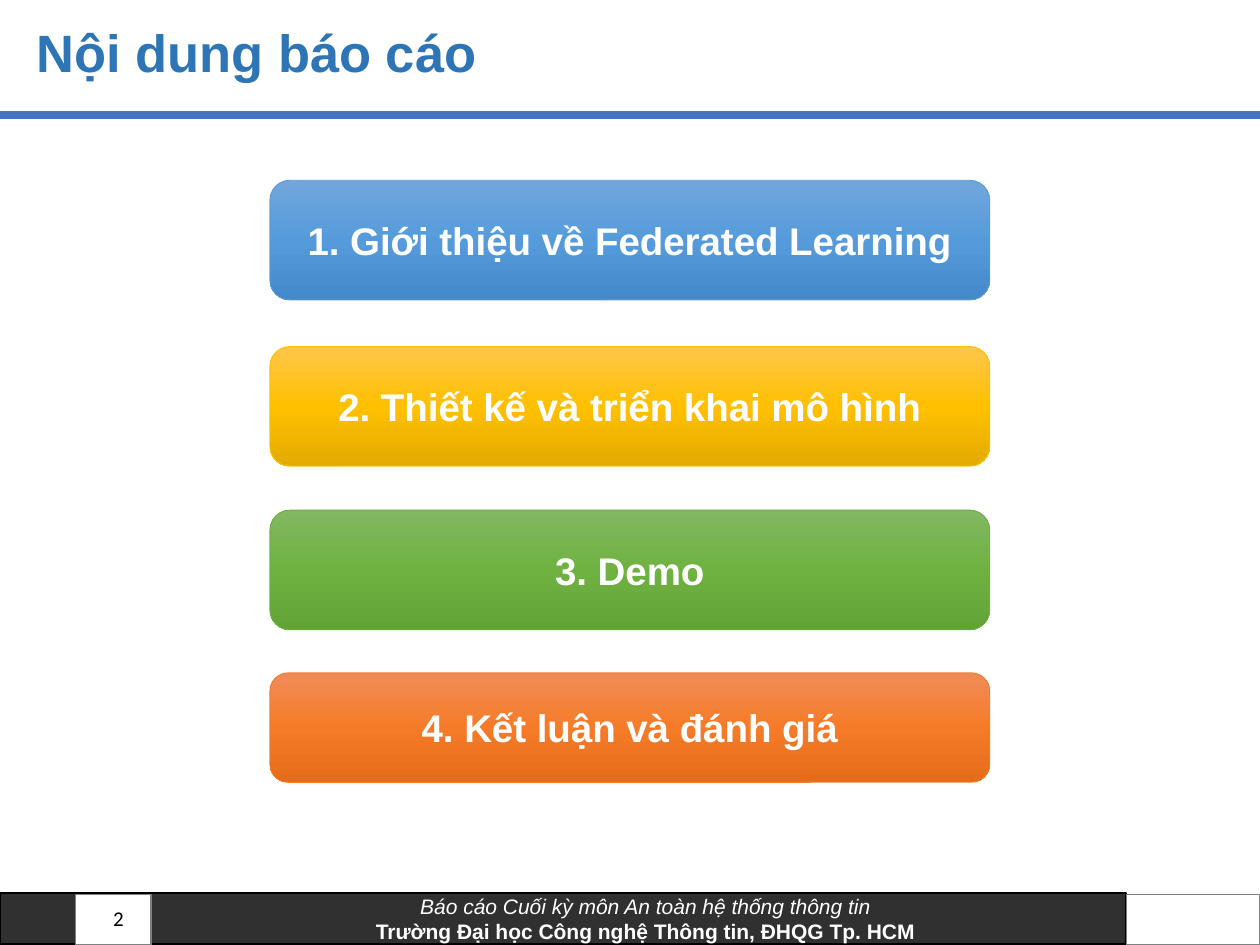
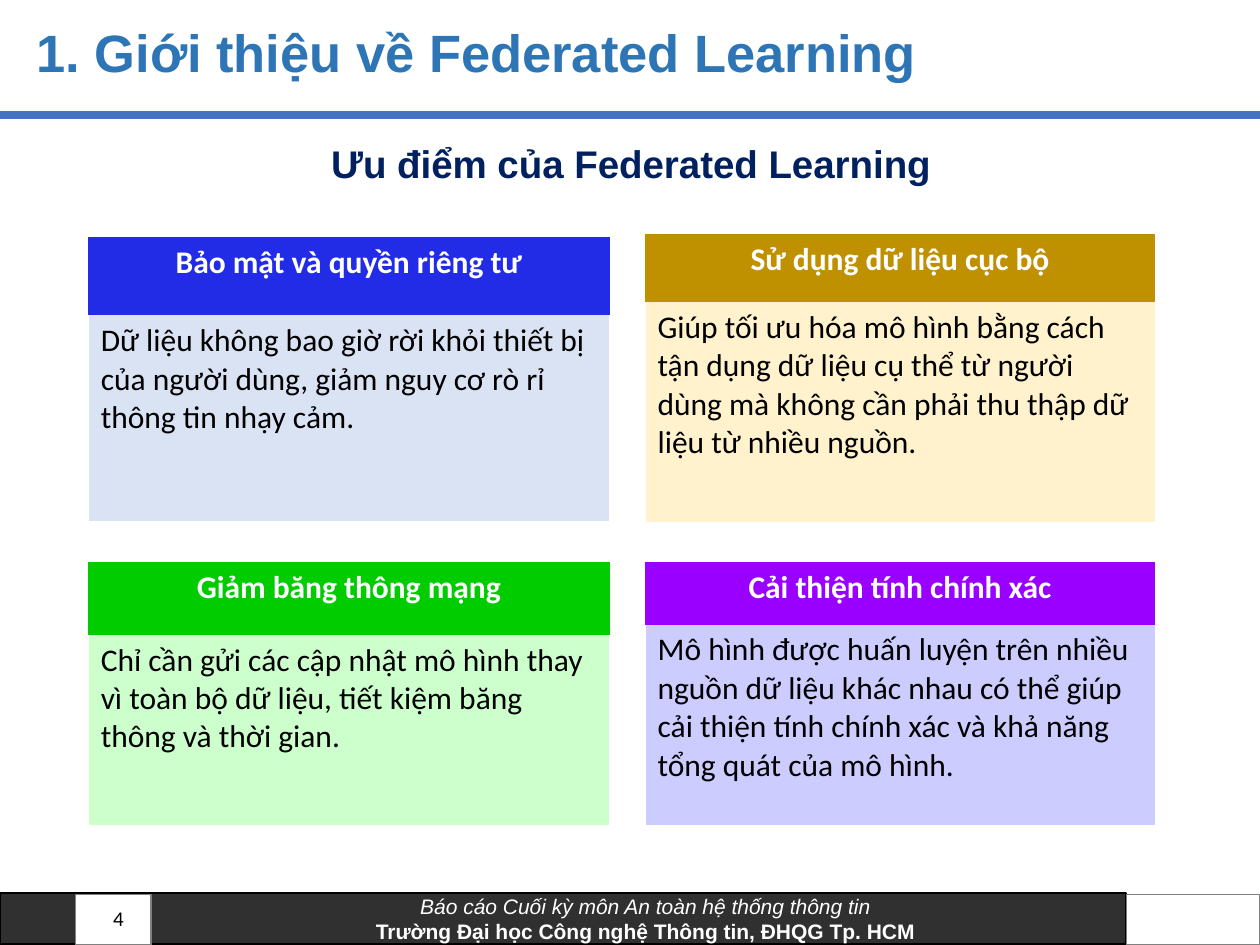
from copy import deepcopy
from lxml.etree import SubElement
from pptx import Presentation
from pptx.dml.color import RGBColor
from pptx.enum.shapes import MSO_CONNECTOR, MSO_SHAPE
from pptx.enum.text import MSO_ANCHOR, MSO_AUTO_SIZE, PP_ALIGN
from pptx.oxml import parse_xml
from pptx.oxml.ns import nsdecls, qn
from pptx.util import Pt

WHITE, BLACK, GREY = "FFFFFF", "000000", "808080"
BLUE, TITLE, NAVY = "4472C4", "2E75B6", "002060"
NO_STYLE = "{2D5ABB26-0587-4C30-8999-92F81FD0307C}"
BORDER = ('<a:{} {} w="12700"><a:solidFill><a:srgbClr val="FFFFFF"/>'
          '</a:solidFill></a:{}>')
TITLES = [("Nội dung báo cáo", "2"),
          ("1. Giới thiệu về Federated Learning", "4")]
FOOTER = ["Báo cáo Cuối kỳ môn An toàn hệ thống thông tin",
          "Trường Đại học Công nghệ Thông tin, ĐHQG Tp. HCM"]


def rgb(code):
    return RGBColor.from_string(code)


def style(para, size, color, font="Arial", bold=False, align=None):
    para.alignment = align
    for run in para.runs:
        run.font.name = font
        run.font.size = Pt(size)
        run.font.bold = bold
        run.font.color.rgb = rgb(color)


deck = Presentation()
deck.slide_width, deck.slide_height = Pt(720), Pt(540)

# Shared frame: title, rule, footer and slide number
for title, number in TITLES:
    slide = deck.slides.add_slide(deck.slide_layouts[5])
    for left, top, width, height, fill, edge in [
            (0, 510.5, 643.7, 28.8, BLACK, BLACK),
            (43.2, 511.2, 43.2, 28.8, WHITE, GREY),
            (643.7, 511.2, 76.3, 28.8, WHITE, GREY)]:
        box = slide.shapes.add_shape(
            MSO_SHAPE.RECTANGLE, Pt(left), Pt(top), Pt(width), Pt(height))
        box.shadow.inherit = False
        box.fill.solid()
        box.fill.fore_color.rgb = rgb(fill)
        box.line.color.rgb = rgb(edge)
        box.line.width = Pt(1)
        if fill == BLACK:
            tint = box._element.spPr.find(qn("a:solidFill"))[0]
            SubElement(tint, qn("a:alpha")).set("val", "81000")
            frame = box.text_frame
            frame.margin_left = frame.margin_right = Pt(10.8)
            frame.margin_top = frame.margin_bottom = Pt(5)
            frame.vertical_anchor = MSO_ANCHOR.MIDDLE
            frame.text = "\n".join(FOOTER)
            for row, para in enumerate(frame.paragraphs):
                style(para, 12, WHITE, bold=row == 1, align=PP_ALIGN.CENTER)
                para.runs[0].font.italic = row == 0
                para._p.get_or_add_pPr().set("marL", str(Pt(94.3)))

    rule = slide.shapes.add_connector(
        MSO_CONNECTOR.STRAIGHT, Pt(0), Pt(65.5), Pt(720), Pt(65.5))
    rule.line.color.rgb = rgb(BLUE)
    rule.line.width = Pt(4.5)
    SubElement(rule._element.spPr, qn("a:effectLst"))

    head = slide.shapes.title
    head.left, head.top = Pt(13.7), Pt(11.5)
    head.width, head.height = Pt(646.6), Pt(40.3)
    frame = head.text_frame
    frame.text = title
    frame.auto_size = MSO_AUTO_SIZE.NONE
    frame.vertical_anchor = MSO_ANCHOR.MIDDLE
    style(frame.paragraphs[0], 30, TITLE, bold=True, align=PP_ALIGN.LEFT)
    frame.paragraphs[0].line_spacing = 0.9

    page = slide.shapes.add_textbox(Pt(46.1), Pt(510.5), Pt(31.7), Pt(28.8))
    frame = page.text_frame
    frame.word_wrap = True
    frame.vertical_anchor = MSO_ANCHOR.MIDDLE
    frame.text = number
    style(frame.paragraphs[0], 12, BLACK, "Calibri", align=PP_ALIGN.RIGHT)

first, second = deck.slides

# Slide 1: agenda buttons
for text, top, height, edge, shades in [
        ("1. Giới thiệu về Federated Learning", 103, 68.4, "5B9BD5",
         ["71A6DB", "559BDB", "448ACA"]),
        ("2. Thiết kế và triển khai mô hình", 198, 68.4, "FFC000",
         ["FFC64B", "FFC000", "E3AB00"]),
        ("3. Demo", 291.5, 68.4, "70AD47",
         ["81B861", "6FB242", "62A336"]),
        ("4. Kết luận và đánh giá", 384.5, 62.6, "ED7D31",
         ["F18C57", "F67B28", "E56C19"])]:
    button = first.shapes.add_shape(
        MSO_SHAPE.ROUNDED_RECTANGLE, Pt(154.2), Pt(top), Pt(411.4), Pt(height))
    button.shadow.inherit = False
    button.line.color.rgb = rgb(edge)
    button.line.width = Pt(0.5)
    button.fill.gradient()
    button.fill.gradient_angle = 270
    stops = button._element.spPr.find(qn("a:gradFill")).find(qn("a:gsLst"))
    stops.append(deepcopy(stops[-1]))
    for spot, (stop, shade) in enumerate(
            zip(button.fill.gradient_stops, shades)):
        stop.position = spot / 2
        stop.color.rgb = rgb(shade)
    frame = button.text_frame
    frame.vertical_anchor = MSO_ANCHOR.MIDDLE
    frame.text = text
    style(frame.paragraphs[0], 22, WHITE, bold=True, align=PP_ALIGN.CENTER)

# Slide 2: subtitle
sub = second.shapes.add_textbox(Pt(182.2), Pt(72.7), Pt(360), Pt(40.3))
frame = sub.text_frame
frame.word_wrap = True
frame.text = "Ưu điểm của Federated Learning"
para = frame.paragraphs[0]
style(para, 22, NAVY, bold=True)
para.line_spacing = 1.15
para.space_before = para.space_after = Pt(10)

# Slide 2: one two-row table for each benefit
LEFT, RIGHT = (50.4, 298), (368.6, 291.6)
for (left, width), top, rows, fills, texts in [
        (LEFT, 135.4, (44.8, 118), ("222BE6", "DAE3F3"),
         ("Bảo mật và quyền riêng tư",
          "Dữ liệu không bao giờ rời khỏi thiết bị của người dùng, "
          "giảm nguy cơ rò rỉ thông tin nhạy cảm.")),
        (RIGHT, 133.9, (38.6, 126), ("BF9000", "FFF2CC"),
         ("Sử dụng dữ liệu cục bộ",
          "Giúp tối ưu hóa mô hình bằng cách tận dụng dữ liệu cụ thể từ "
          "người dùng mà không cần phải thu thập dữ liệu từ nhiều nguồn.")),
        (LEFT, 321.1, (41.6, 109.2), ("00CC00", "CCFFCC"),
         ("Giảm băng thông mạng",
          "Chỉ cần gửi các cập nhật mô hình thay vì toàn bộ dữ liệu, "
          "tiết kiệm băng thông và thời gian.")),
        (RIGHT, 321.1, (35.8, 115), ("9900FF", "CCCCFF"),
         ("Cải thiện tính chính xác",
          "Mô hình được huấn luyện trên nhiều nguồn dữ liệu khác nhau có thể "
          "giúp cải thiện tính chính xác và khả năng tổng quát của mô hình."))]:
    grid = second.shapes.add_table(
        2, 1, Pt(left), Pt(top), Pt(width), Pt(sum(rows))).table
    grid._tbl.tblPr.find(qn("a:tableStyleId")).text = NO_STYLE
    grid.horz_banding = False
    for row in range(2):
        grid.rows[row].height = Pt(rows[row])
        cell = grid.cell(row, 0)
        cell.text = texts[row]
        cell.fill.solid()
        cell.fill.fore_color.rgb = rgb(fills[row])
        top_row = row == 0
        style(cell.text_frame.paragraphs[0], 18, WHITE if top_row else BLACK,
              "Calibri", top_row, PP_ALIGN.CENTER if top_row else None)
    # White edges on the left, right and bottom of the body cell
    for spot, side in enumerate(["lnL", "lnR", "lnB"]):
        edge = parse_xml(BORDER.format(side, nsdecls("a"), side))
        cell._tc.get_or_add_tcPr().insert(spot, edge)

deck.save("out.pptx")
